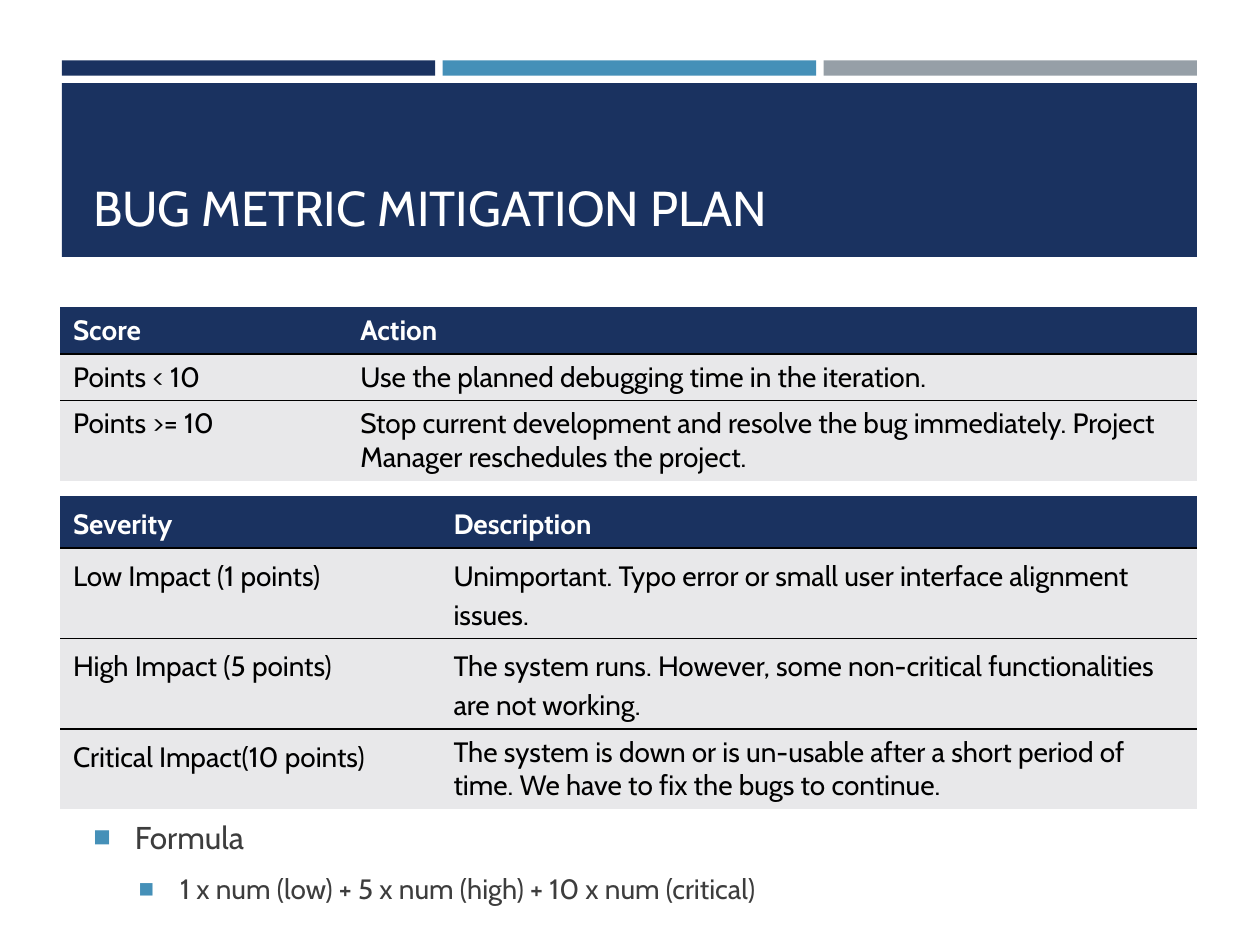
from lxml.etree import SubElement
from pptx import Presentation
from pptx.dml.color import RGBColor
from pptx.enum.shapes import MSO_SHAPE
from pptx.enum.text import MSO_ANCHOR, MSO_AUTO_SIZE, PP_ALIGN
from pptx.oxml import parse_xml
from pptx.oxml.ns import nsdecls, qn
from pptx.util import Inches, Pt

NAVY, BLUE, GRAY, PALE = "1A3260", "4590B8", "969FA7", "E8E8EA"
WHITE, BLACK, TEXT = "FFFFFF", "000000", "3D3D3D"
NO_GRID_STYLE = "{2D5ABB26-0587-4C30-8999-92F81FD0307C}"


def paint(color_format, color):
    """Apply a hex colour to a fill or a font."""
    if hasattr(color_format, "solid"):
        color_format.solid()
        color_format.fore_color.rgb = RGBColor.from_string(color)
    else:
        color_format.color.rgb = RGBColor.from_string(color)


def set_font(paragraph, size, color, bold=False):
    paragraph.font.name = "Cabin"
    paragraph.font.size = Pt(size)
    paragraph.font.bold = bold
    paint(paragraph.font, color)


presentation = Presentation()
presentation.slide_width, presentation.slide_height = Inches(10), Inches(7.5)
slide = presentation.slides.add_slide(presentation.slide_layouts[1])
title, body = slide.placeholders

# Header: three equal bars above one banner
left, width, gap = 0.49, 9.01, 0.06
bar_width = (width - 2 * gap) / 3
blocks = [(left + column * (bar_width + gap), 0.48, bar_width, 0.12, color)
          for column, color in enumerate((NAVY, BLUE, GRAY))]
blocks.append((left, 0.66, width, 1.38, NAVY))
for *box, color in blocks:
    shape = slide.shapes.add_shape(MSO_SHAPE.RECTANGLE, *map(Inches, box))
    shape.shadow.inherit = False
    shape.line.fill.background()
    paint(shape.fill, color)

# Tables: position, column widths, row heights, line spacing and text
tables = [
    (3.94, (3.02, 6), (0.41, 0.71, 0.71, 0.63), 1.15, [
        ("Severity", "Description"),
        ("Low Impact (1 points)",
         "Unimportant. Typo error or small user interface alignment issues."),
        ("High Impact (5 points)",
         "The system runs. However, some non-critical functionalities are not working."),
        ("Critical Impact(10 points)",
         "The system is down or is un-usable after a short period of time. "
         "We have to fix the bugs to continue."),
    ]),
    (2.44, (2.28, 6.74), (0.37, 0.37, 0.63), 1, [
        ("Score", "Action"),
        ("Points < 10", "Use the planned debugging time in the iteration."),
        ("Points >= 10",
         "Stop current development and resolve the bug immediately. "
         "Project Manager reschedules the project."),
    ]),
]
for top, column_widths, row_heights, spacing, rows in tables:
    frame = slide.shapes.add_table(
        len(rows), 2, Inches(0.48), Inches(top),
        Inches(sum(column_widths)), Inches(sum(row_heights)))
    table = frame.table
    table.horz_banding = False
    table._tbl.tblPr.find(qn("a:tableStyleId")).text = NO_GRID_STYLE
    for column, column_width in zip(table.columns, column_widths):
        column.width = Inches(column_width)
    for row_index, texts in enumerate(rows):
        table.rows[row_index].height = Inches(row_heights[row_index])
        header = row_index == 0
        for cell, text in zip(table.rows[row_index].cells, texts):
            cell.text = text
            paragraph = cell.text_frame.paragraphs[0]
            # The long closing note of the severity table is set tighter
            paragraph.line_spacing = 1 if text.startswith("The system is") else spacing
            set_font(paragraph, 16, WHITE if header else BLACK, header)
            # Rules run only between rows
            sides = [tag for tag, inner in (("lnT", not header),
                                            ("lnB", row_index < len(rows) - 1)) if inner]
            for side in sides:
                cell._tc.get_or_add_tcPr().append(parse_xml(
                    f'<a:{side} {nsdecls("a")} w="12700"><a:solidFill>'
                    f'<a:srgbClr val="{BLACK}"/></a:solidFill></a:{side}>'))
            paint(cell.fill, NAVY if header else PALE)

# Title and formula list share the same left edge and width
for placeholder, top, height, anchor in ((title, 0.75, 1.18, MSO_ANCHOR.BOTTOM),
                                         (body, 6.41, 0.86, MSO_ANCHOR.MIDDLE)):
    placeholder.left, placeholder.top = Inches(0.64), Inches(top)
    placeholder.width, placeholder.height = Inches(8.74), Inches(height)
    placeholder.text_frame.auto_size = MSO_AUTO_SIZE.NONE
    placeholder.text_frame.vertical_anchor = anchor
    # Bring the text in front of the banner
    slide.shapes._spTree.append(placeholder._element)

title.text_frame.text = "BUG METRIC MITIGATION PLAN"
heading = title.text_frame.paragraphs[0]
heading.alignment = PP_ALIGN.LEFT
set_font(heading, 28, WHITE)

body.text_frame.text = "Formula\n1 x num (low) + 5 x num (high) + 10 x num (critical)"
for level, paragraph in enumerate(body.text_frame.paragraphs):
    size = 18 - 2 * level
    paragraph.level = level
    paragraph.space_before = Pt(0.2 * size * level)
    paragraph.space_after = Pt(6)
    properties = paragraph._p.get_or_add_pPr()
    properties.set("marL", str(Inches(0.33 + 0.36 * level)))
    properties.set("indent", str(Inches(-0.33)))
    bullet_color = SubElement(properties, qn("a:buClr"))
    SubElement(bullet_color, qn("a:srgbClr"), val=BLUE)
    SubElement(properties, qn("a:buSzPct"), val="92000")
    SubElement(properties, qn("a:buChar"), char="■")
    set_font(paragraph, size, TEXT)

presentation.save("out.pptx")
